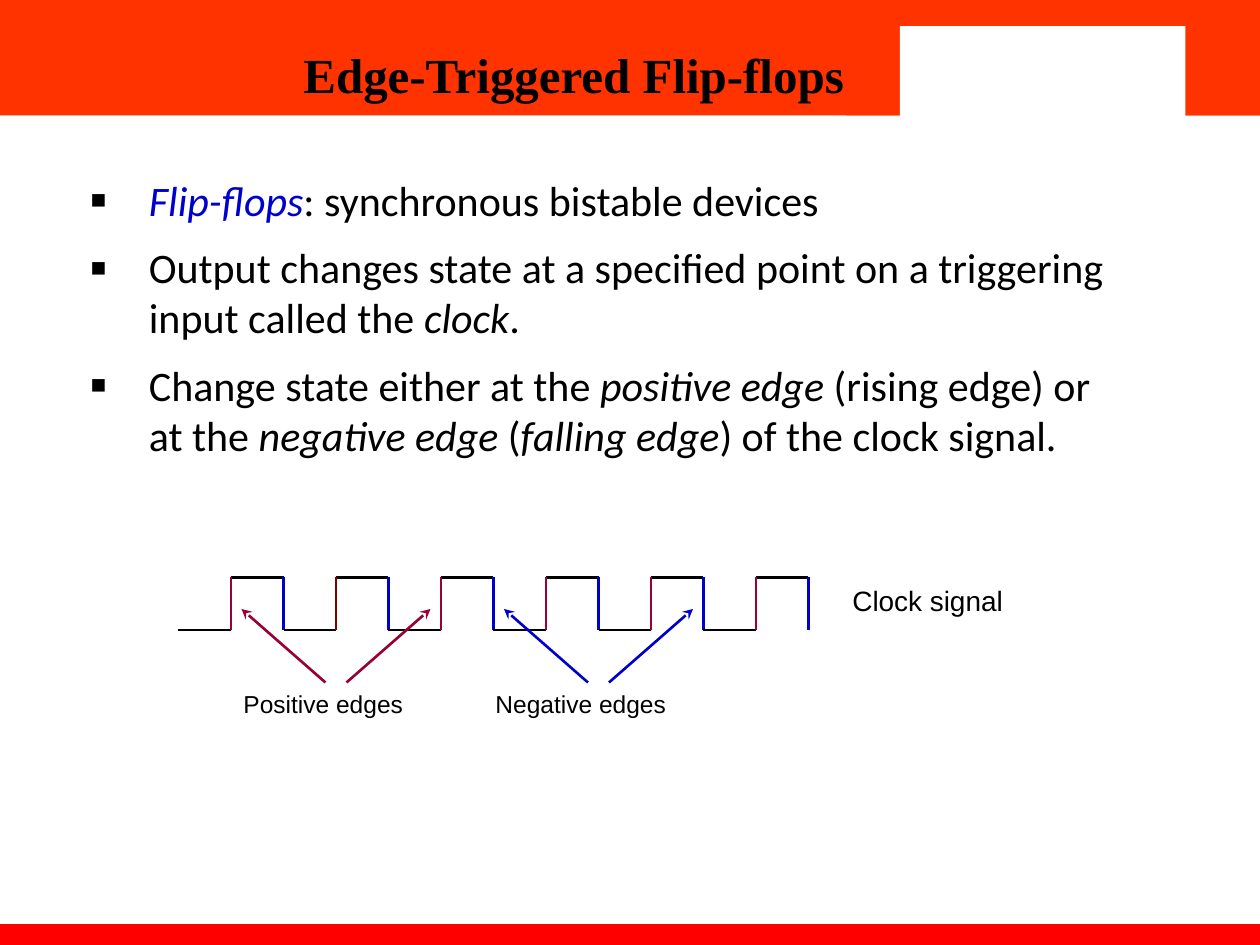
from pptx import Presentation
from pptx.dml.color import RGBColor
from pptx.enum.shapes import MSO_CONNECTOR as Connector, MSO_SHAPE as Shape
from pptx.enum.text import MSO_ANCHOR as Anchor, MSO_AUTO_SIZE as AutoSize, PP_ALIGN as Align
from pptx.oxml.ns import qn
from pptx.util import Inches, Pt
from lxml import etree

THEME = {
    "band": "FF3300", "footer": "FF0000", "paper": "FFFFFF", "ink": "000000",
    "rise": "990033", "dark rise": "800000", "fall": "0000CC", "term": "0000CC",
    "title": {"name": "Times New Roman", "size": Pt(28), "bold": True},
    "body": {"name": "Calibri", "size": Pt(24)},
    "label": {"name": "Arial", "size": Pt(14)},
    "clock label": {"name": "Arial", "size": Pt(16)},
    "line": Pt(1.5),
}

# Slide grid: 120 columns by 90 rows
prs = Presentation()
prs.slide_width, prs.slide_height = Inches(10), Inches(7.5)
CELL = prs.slide_width / 120
slide = prs.slides.add_slide(prs.slide_layouts[5])
shapes = slide.shapes


def style(font, role, color="ink", **extra):
    for key, value in {**THEME[role], **extra}.items():
        setattr(font, key, value)
    font.color.rgb = RGBColor.from_string(THEME[color])


def draw_line(start, end, color, arrow=False):
    ends = [round(v * CELL) for v in (*start, *end)]
    stroke = shapes.add_connector(Connector.STRAIGHT, *ends)
    stroke.line.width = THEME["line"]
    stroke.line.color.rgb = RGBColor.from_string(THEME[color])
    properties = stroke._element.spPr
    if arrow:
        etree.SubElement(properties.find(qn("a:ln")), qn("a:tailEnd"), type="stealth")
    etree.SubElement(properties, qn("a:effectLst"))


# Header and footer bands
for *area, color in (
    (0, 0, 120, 11, "band"),
    (0, 88, 120, 2, "footer"),
    (80.6, 0, 39.4, 11, "band"),
    (85.7, 2.5, 27.2, 9, "paper"),
):
    band = shapes.add_shape(Shape.RECTANGLE, *(round(v * CELL) for v in area))
    band.shadow.inherit = False
    band.fill.solid()
    band.fill.fore_color.rgb = RGBColor.from_string(THEME[color])
    band.line.fill.background()

# Title, brought in front of the bands
title = shapes.title
shapes._spTree.append(title._element)
for side, cells in {"left": 27.7, "top": 2, "width": 56.5, "height": 10}.items():
    setattr(title, side, round(cells * CELL))
heading = title.text_frame
heading.text = "Edge-Triggered Flip-flops"
heading.vertical_anchor = Anchor.MIDDLE
heading.auto_size = AutoSize.NONE
heading.paragraphs[0].alignment = Align.LEFT
style(heading.paragraphs[0].runs[0].font, "title")

# Bulleted statements: (wording, italic, colour)
statements = (
    (("Flip-flops", True, "term"), (": synchronous bistable devices", False, "ink")),
    (("Output changes state at a specified point on a triggering input called the ", False, "ink"),
     ("clock", True, "ink"), (".", False, "ink")),
    (("Change state either at the ", False, "ink"), ("positive edge", True, "ink"),
     (" (rising edge) or at the ", False, "ink"), ("negative edge", True, "ink"),
     (" (", False, "ink"), ("falling edge", True, "ink"),
     (") of the clock signal.", False, "ink")),
)
body = shapes.add_textbox(*(round(v * CELL) for v in (7, 16, 101, 34))).text_frame
body.word_wrap = True
for index, statement in enumerate(statements):
    paragraph = body.add_paragraph() if index else body.paragraphs[0]
    marks = paragraph._p.get_or_add_pPr()
    marks.set("marL", str(Inches(0.5)))
    marks.set("indent", str(Inches(-0.47)))
    bullet_color = etree.SubElement(marks, qn("a:buClr"))
    etree.SubElement(bullet_color, qn("a:srgbClr"), val=THEME["ink"])
    etree.SubElement(marks, qn("a:buSzPct"), val="120000")
    etree.SubElement(marks, qn("a:buFont"), typeface="Arial")
    etree.SubElement(marks, qn("a:buChar"), char="▪")
    if index:
        paragraph.space_before = Pt(9.6)
    for wording, italic, color in statement:
        run = paragraph.add_run()
        run.text = wording
        style(run.font, "body", color, italic=italic)

# Clock waveform: six periods, each low, rise, high, fall
LOW, HIGH, HALF = 60, 55, 5
for period in range(6):
    start = 17 + 2 * HALF * period
    rise, fall = start + HALF, start + 2 * HALF
    draw_line((start, LOW), (rise, LOW), "ink")
    draw_line((rise, HIGH), (fall, HIGH), "ink")
    draw_line((rise, HIGH), (rise, LOW), "dark rise" if period == 1 else "rise")
    draw_line((fall, HIGH), (fall, LOW), "fall")

# Labels
for *area, wording, role in (
    (22, 65, 20, 4.1, "Positive edges", "label"),
    (46, 65, 22, 4.1, "Negative edges", "label"),
    (80, 55, 21, 4.4, "Clock signal", "clock label"),
):
    label = shapes.add_textbox(*(round(v * CELL) for v in area)).text_frame
    label.word_wrap = True
    label.auto_size = AutoSize.SHAPE_TO_FIT_TEXT
    label.text = wording
    style(label.paragraphs[0].runs[0].font, role)

# Arrows from each label to its two edges
for center, edge in ((32, "rise"), (57, "fall")):
    for side in (-1, 1):
        draw_line((center + side, 65), (center + 9 * side, 58), edge, arrow=True)

prs.save("out.pptx")
